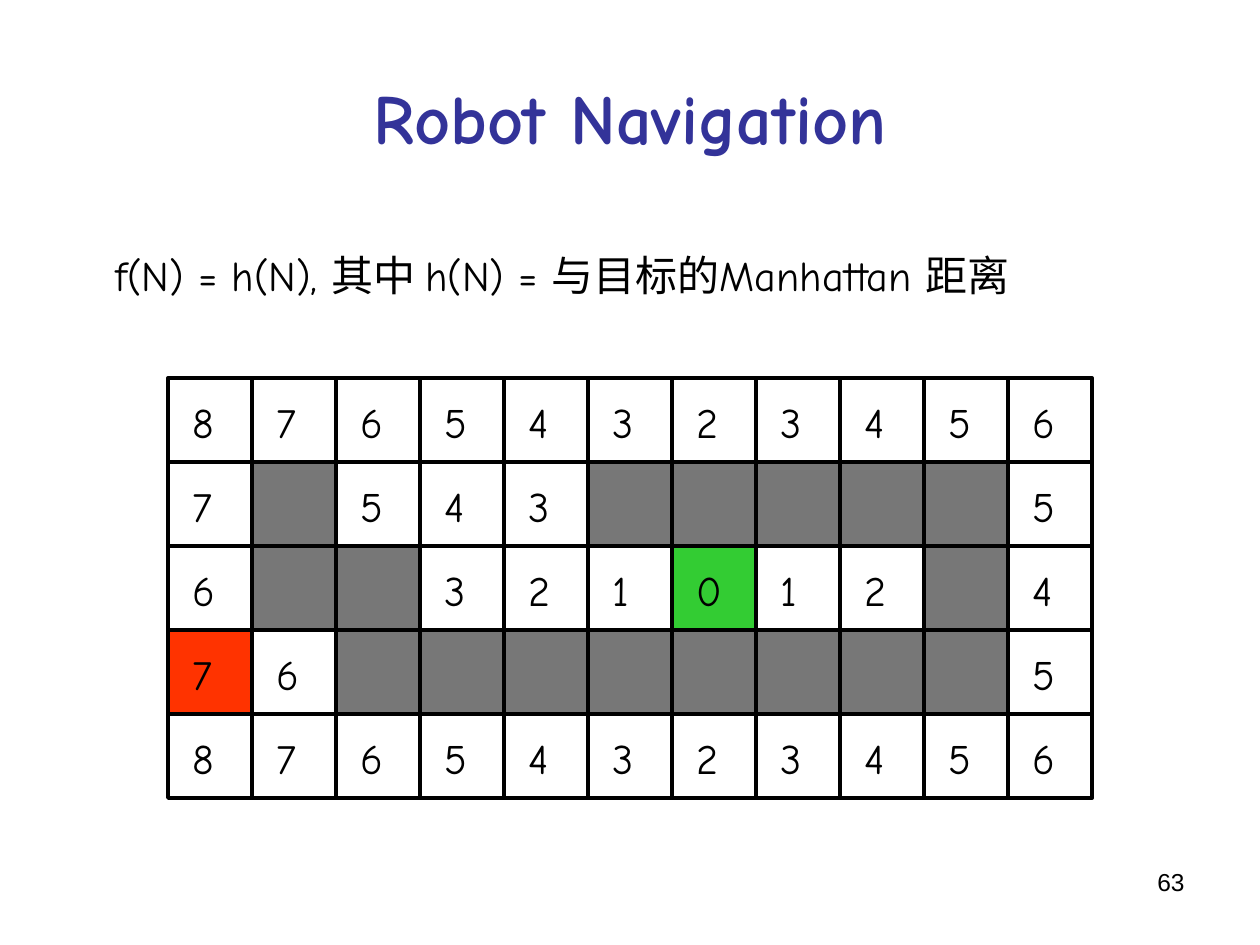
from pptx import Presentation
from pptx.dml.color import RGBColor
from pptx.enum.shapes import MSO_CONNECTOR, MSO_SHAPE
from pptx.enum.text import MSO_ANCHOR, MSO_AUTO_SIZE, PP_ALIGN as ALIGN
from pptx.oxml.ns import qn
from pptx.util import Pt
from lxml.etree import SubElement

# Content: "#" is an obstacle, digits are Manhattan distances
TITLE = "Robot Navigation"
FORMULA = "f(N) = h(N), 其中 h(N) = 与目标的Manhattan 距离"
PAGE = "63"
MAZE = [
    "87654323456",
    "7#543#####5",
    "6##321012#4",
    "76########5",
    "87654323456",
]
START, GOAL = (3, 0), (2, 6)  # row, column

COLORS = {"title": "333399", "ink": "000000", "obstacle": "777777",
          "start": "FF3300", "goal": "33CC33"}
TEXT_FONT = "Comic Neue"
FORMATS = {
    "title": {"name": TEXT_FONT, "size": Pt(40), "bold": True},
    "body": {"name": TEXT_FONT, "size": Pt(24)},
    "page": {"name": "Arial", "size": Pt(14)},
}

# Grid geometry in points
CELL, LEFT, TOP = 48, 96, 216
ROWS, COLS = len(MAZE), len(MAZE[0])
RIGHT, BOTTOM = LEFT + COLS * CELL, TOP + ROWS * CELL
DIGIT_DX, DIGIT_DY, DIGIT_H = 7, 7, 36
DIGIT_W = {"1": 24}  # the narrow digit; the others take 27


def rgb(key):
    return RGBColor.from_string(COLORS[key])


def write(frame, words, style, color="ink", align=ALIGN.LEFT):
    frame.text = words
    paragraph = frame.paragraphs[0]
    paragraph.alignment = align
    font = paragraph.runs[0].font
    for key, value in FORMATS[style].items():
        setattr(font, key, value)
    font.color.rgb = rgb(color)


def add_label(words, left, top, width, height):
    frame = slide.shapes.add_textbox(Pt(left), Pt(top), Pt(width), Pt(height)).text_frame
    frame.word_wrap = False
    frame.auto_size = MSO_AUTO_SIZE.SHAPE_TO_FIT_TEXT
    write(frame, words, "body")


def add_block(left, top, width, height, fill=None):
    block = slide.shapes.add_shape(MSO_SHAPE.RECTANGLE, Pt(left), Pt(top), Pt(width), Pt(height))
    block.shadow.inherit = False
    if fill:
        block.fill.solid()
        block.fill.fore_color.rgb = rgb(fill)
    else:
        block.fill.background()
    block.line.color.rgb = rgb("ink")
    block.line.width = Pt(2.25)


def add_rule(x1, y1, x2, y2):
    rule = slide.shapes.add_connector(MSO_CONNECTOR.STRAIGHT, Pt(x1), Pt(y1), Pt(x2), Pt(y2))
    rule.line.color.rgb = rgb("ink")
    rule.line.width = Pt(2.25)
    SubElement(rule._element.spPr, qn("a:effectLst"))


deck = Presentation()
deck.slide_width, deck.slide_height = Pt(720), Pt(540)
slide = deck.slides.add_slide(deck.slide_layouts[5])

# Title
title = slide.shapes.title
title.left, title.top, title.width, title.height = Pt(36), Pt(21.6), Pt(648), Pt(90)
title.text_frame.vertical_anchor = MSO_ANCHOR.MIDDLE
write(title.text_frame, TITLE, "title", "title", ALIGN.CENTER)

# Page number
page = slide.shapes.add_textbox(Pt(516), Pt(492), Pt(168), Pt(37.5)).text_frame
page.word_wrap = True
write(page, PAGE, "page", align=ALIGN.RIGHT)

# Maze frame and grid lines
add_block(LEFT, TOP, RIGHT - LEFT, BOTTOM - TOP)
for col in range(1, COLS):
    add_rule(LEFT + col * CELL, TOP, LEFT + col * CELL, BOTTOM)
for row in range(1, ROWS):
    add_rule(LEFT, TOP + row * CELL, RIGHT, TOP + row * CELL)

# Obstacles, start, goal and distances
special = {START: "start", GOAL: "goal"}
for row, marks in enumerate(MAZE):
    for col, mark in enumerate(marks):
        x, y = LEFT + col * CELL, TOP + row * CELL
        fill = "obstacle" if mark == "#" else special.get((row, col))
        if fill:
            add_block(x, y, CELL, CELL, fill)
        if mark != "#":
            add_label(mark, x + DIGIT_DX, y + DIGIT_DY, DIGIT_W.get(mark, 27), DIGIT_H)

# Evaluation function
add_label(FORMULA, 59, 139, 564, 36)

deck.save("out.pptx")
